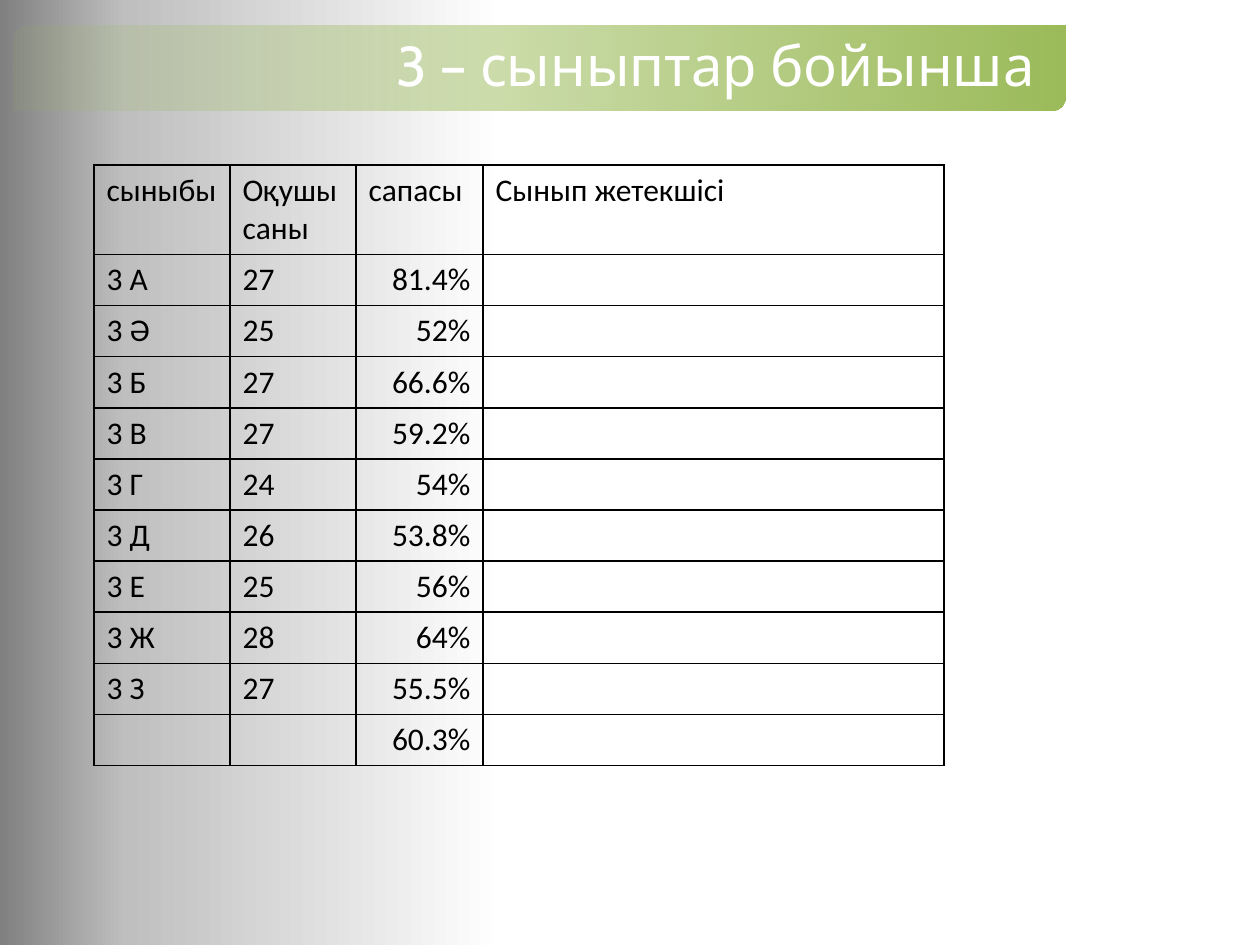
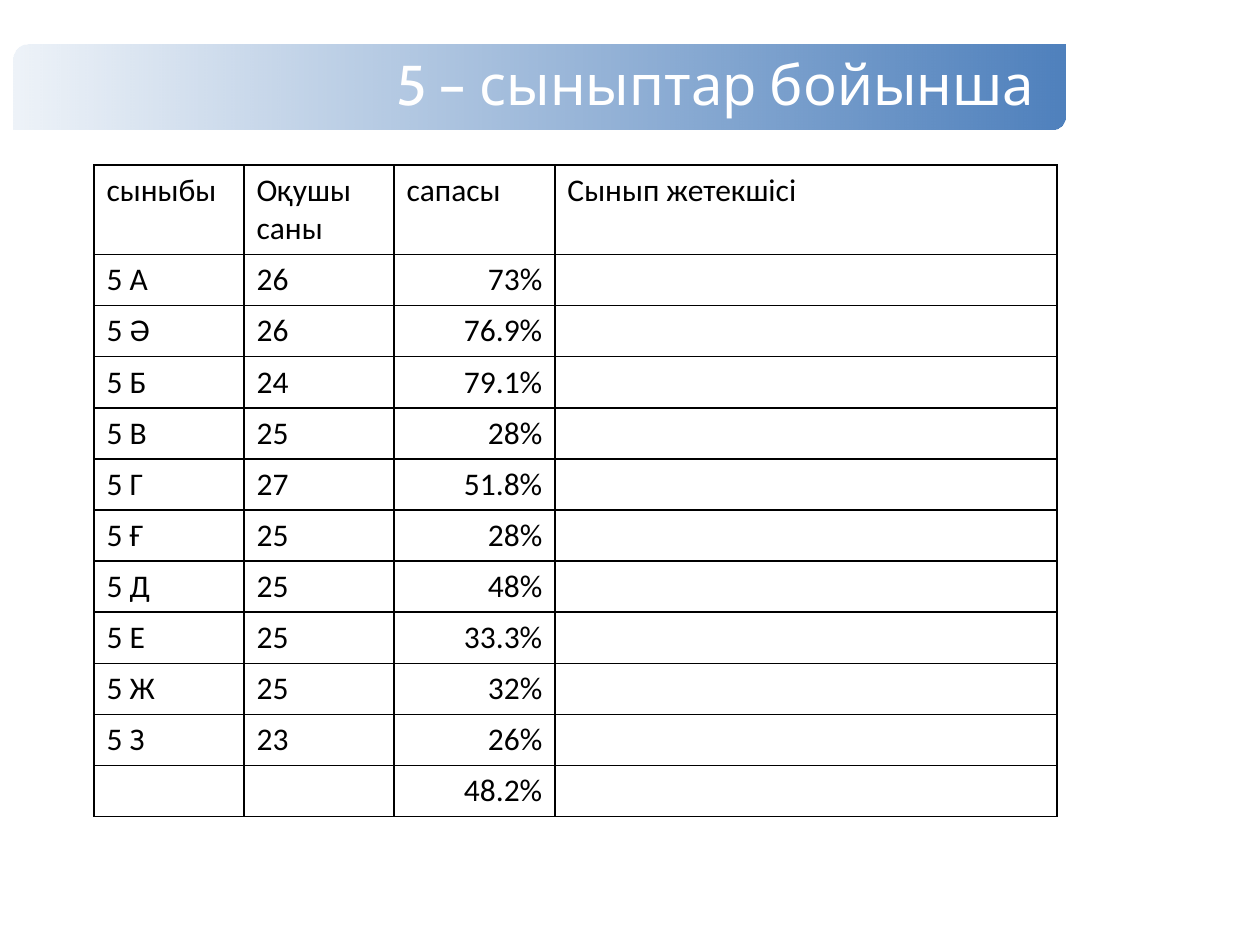
"""Build two slides of class quality tables for grades 3 and 5."""
import lxml.etree
import pptx
import pptx.dml.color
import pptx.enum.shapes
import pptx.enum.text
import pptx.oxml.ns
import pptx.util

PX = 914400 / 126
WHITE = pptx.dml.color.RGBColor(0xFF, 0xFF, 0xFF)
BLACK = pptx.dml.color.RGBColor(0x00, 0x00, 0x00)
SILVER = pptx.dml.color.RGBColor(0xBF, 0xBF, 0xBF)
GREY = pptx.dml.color.RGBColor(0x80, 0x80, 0x80)
GREEN = pptx.dml.color.RGBColor(0x9B, 0xBB, 0x59)
BLUE = pptx.dml.color.RGBColor(0x4F, 0x81, 0xBD)
LEFT = pptx.enum.text.PP_ALIGN.LEFT
RIGHT = pptx.enum.text.PP_ALIGN.RIGHT

BANNER_LEFT, BANNER_WIDTH, BANNER_HEIGHT = 14, 1051, 85
TABLE_LEFT, TABLE_TOP = 94, 165
HEADER_HEIGHT, ROW_HEIGHT = 89, 51
HEADER = ("сыныбы", "Оқушы саны", "сапасы", "Сынып жетекшісі")

GRADES = [
    {
        "grade": 3, "color": GREEN, "banner_top": 26,
        "background": [(0, WHITE, 100), (60, WHITE, 100), (90, SILVER, 100), (100, GREY, 100)],
        "columns": (136, 126, 127, 461),
        "letters": "АӘБВГДЕЖЗ",
        "pupils": (27, 25, 27, 27, 24, 26, 25, 28, 27),
        "quality": (81.4, 52, 66.6, 59.2, 54, 53.8, 56, 64, 55.5),
        "average": 60.3,
    },
    {
        "grade": 5, "color": BLUE, "banner_top": 45,
        "background": None,
        "columns": (150, 150, 161, 502),
        "letters": "АӘБВГҒДЕЖЗ",
        "pupils": (26, 26, 24, 25, 27, 25, 25, 25, 25, 23),
        "quality": (73, 76.9, 79.1, 28, 51.8, 28, 48, 33.3, 32, 26),
        "average": 48.2,
    },
]


def write_text(text_frame, text, *, font="Calibri", size=18, color=BLACK, align=LEFT, spacing=1.0):
    paragraph = text_frame.paragraphs[0]
    paragraph.alignment = align
    paragraph.line_spacing = spacing
    run = paragraph.add_run()
    run.text = text
    run.font.name = font
    run.font.size = pptx.util.Pt(size)
    run.font.color.rgb = color


def apply_gradient(fill, element, stops, angle):
    fill.gradient()
    fill.gradient_angle = angle
    stop_list = element.find(".//" + pptx.oxml.ns.qn("a:gsLst"))
    for old_stop in list(stop_list):
        stop_list.remove(old_stop)
    for position, color, opacity in stops:
        stop = lxml.etree.SubElement(stop_list, pptx.oxml.ns.qn("a:gs"), pos=str(position * 1000))
        rgb = lxml.etree.SubElement(stop, pptx.oxml.ns.qn("a:srgbClr"), val=str(color))
        lxml.etree.SubElement(rgb, pptx.oxml.ns.qn("a:alpha"), val=str(opacity * 1000))


presentation = pptx.Presentation()
presentation.slide_width = int(1260 * PX)
presentation.slide_height = int(945 * PX)

for grade in GRADES:
    slide = presentation.slides.add_slide(presentation.slide_layouts[5])
    background = slide.background.fill
    if grade["background"]:
        apply_gradient(background, slide.element, grade["background"], 180)
    else:
        background.solid()
        background.fore_color.rgb = WHITE

    banner_box = [int(length * PX) for length in (BANNER_LEFT, grade["banner_top"], BANNER_WIDTH, BANNER_HEIGHT)]
    banner = slide.shapes.add_shape(pptx.enum.shapes.MSO_SHAPE.ROUND_2_DIAG_RECTANGLE, *banner_box)
    banner.shadow.inherit = False
    banner.line.fill.background()
    apply_gradient(banner.fill, banner.element, [(0, grade["color"], 10), (100, grade["color"], 100)], 0)

    title = slide.shapes.title
    slide.shapes._spTree.append(title.element)
    title.left, title.top, title.width, title.height = banner_box
    title_frame = title.text_frame
    title_frame.word_wrap = True
    title_frame.auto_size = pptx.enum.text.MSO_AUTO_SIZE.NONE
    title_frame.vertical_anchor = pptx.enum.text.MSO_ANCHOR.MIDDLE
    title_frame.margin_left = int(382 * PX)
    title_frame.margin_right = title_frame.margin_top = title_frame.margin_bottom = int(21 * PX)
    write_text(title_frame, f"{grade['grade']} – сыныптар бойынша",
               font="Cabin", size=32, color=WHITE, spacing=0.9)

    rows = [HEADER]
    for letter, pupils, quality in zip(grade["letters"], grade["pupils"], grade["quality"]):
        rows.append((f"{grade['grade']} {letter}", str(pupils), f"{quality}%", ""))
    rows.append(("", "", f"{grade['average']}%", ""))

    table_height = HEADER_HEIGHT + ROW_HEIGHT * (len(rows) - 1)
    table = slide.shapes.add_table(
        len(rows), len(HEADER), int(TABLE_LEFT * PX), int(TABLE_TOP * PX),
        int(sum(grade["columns"]) * PX), int(table_height * PX)).table
    table.first_row = False
    table.horz_banding = False
    for column, width in zip(table.columns, grade["columns"]):
        column.width = int(width * PX)
    for row_index, texts in enumerate(rows):
        table.rows[row_index].height = int((ROW_HEIGHT if row_index else HEADER_HEIGHT) * PX)
        for column_index, text in enumerate(texts):
            cell = table.cell(row_index, column_index)
            properties = cell._tc.get_or_add_tcPr()
            for side in ("a:lnL", "a:lnR", "a:lnT", "a:lnB"):
                border = lxml.etree.SubElement(properties, pptx.oxml.ns.qn(side), w=str(pptx.util.Pt(1)))
                border_fill = lxml.etree.SubElement(border, pptx.oxml.ns.qn("a:solidFill"))
                lxml.etree.SubElement(border_fill, pptx.oxml.ns.qn("a:srgbClr"), val=str(BLACK))
            cell.fill.background()
            if text:
                align = RIGHT if row_index and column_index == 2 else LEFT
                write_text(cell.text_frame, text, align=align)

presentation.save("out.pptx")
